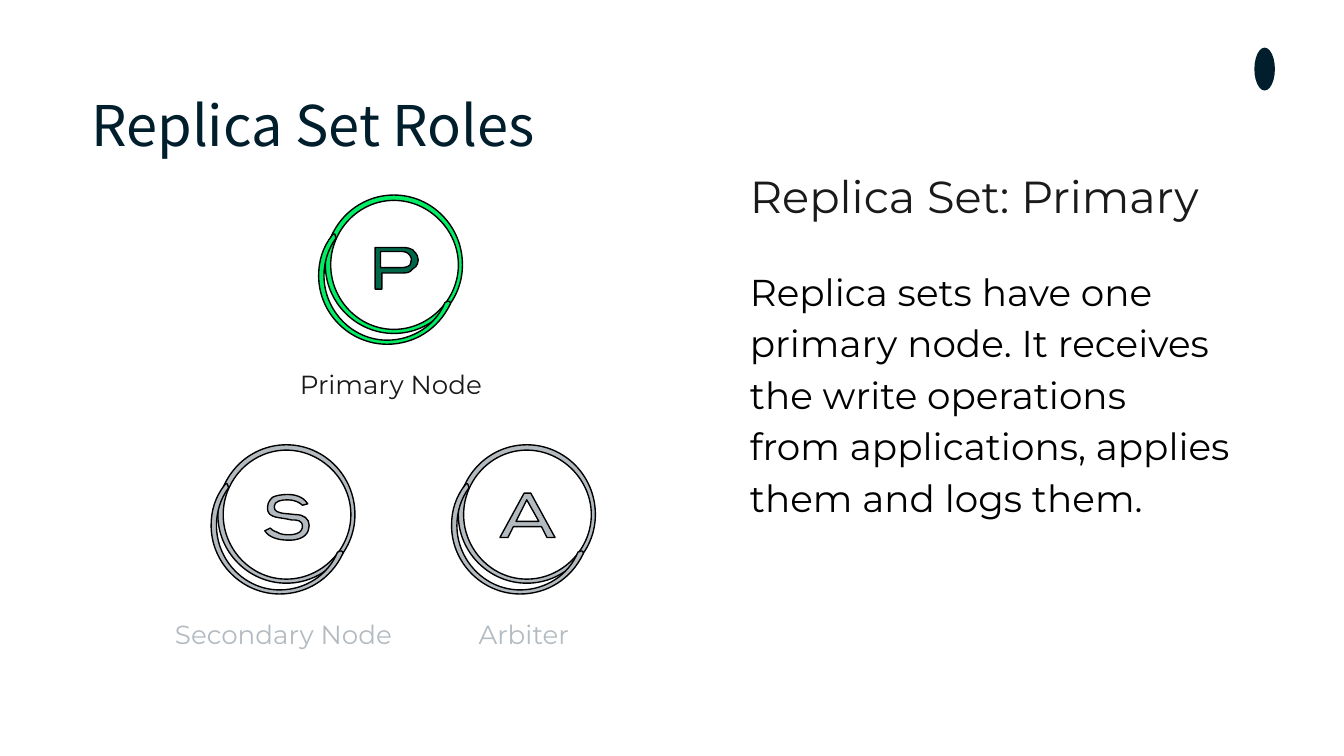
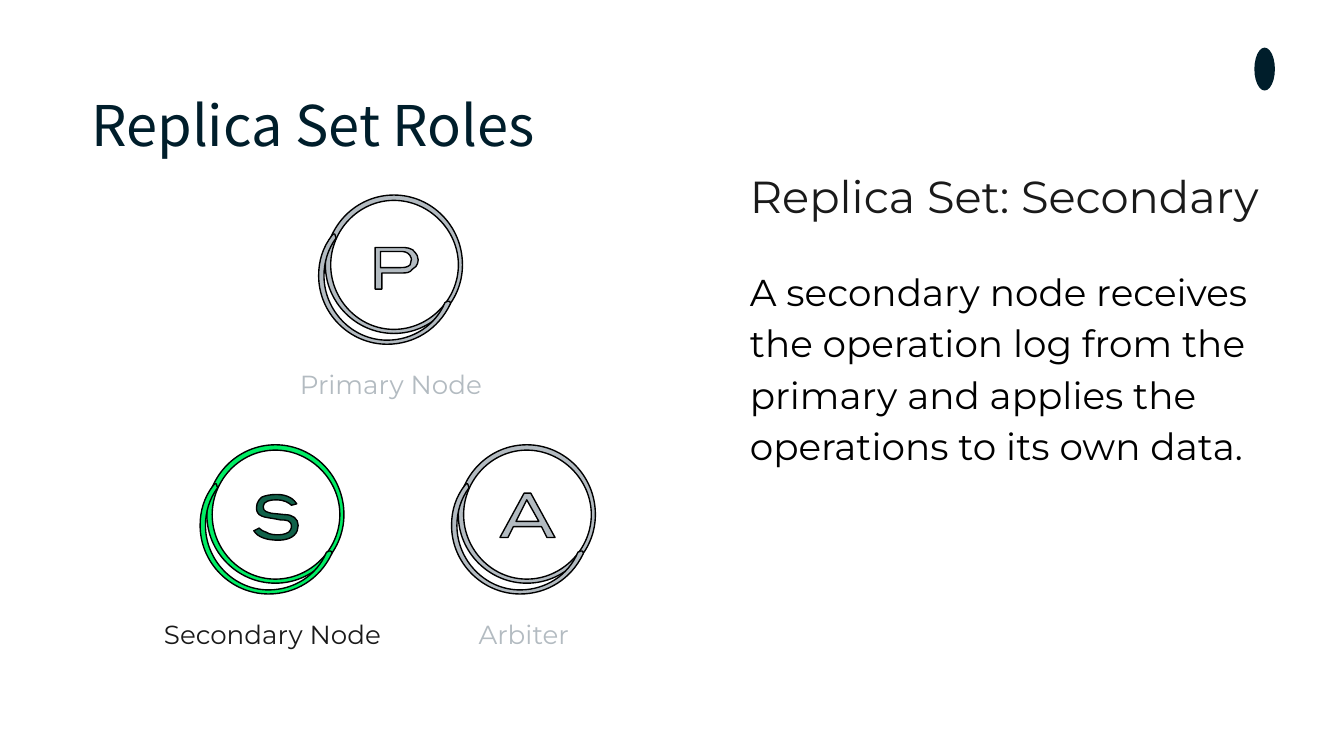
from pptx import Presentation
from pptx.dml.color import RGBColor
from pptx.enum.shapes import MSO_SHAPE
from pptx.enum.text import MSO_ANCHOR, MSO_AUTO_SIZE, PP_ALIGN
from pptx.oxml.ns import qn
from pptx.util import Pt

OVAL = MSO_SHAPE.OVAL
TOP, MIDDLE = MSO_ANCHOR.TOP, MSO_ANCHOR.MIDDLE
LEFT, CENTER = PP_ALIGN.LEFT, PP_ALIGN.CENTER
GROW, FIXED = MSO_AUTO_SIZE.SHAPE_TO_FIT_TEXT, MSO_AUTO_SIZE.NONE

NAVY = RGBColor(0x00, 0x1E, 0x2B)
INK = RGBColor(0x1A, 0x1A, 0x1A)
BLACK = RGBColor(0x00, 0x00, 0x00)
GRAY = RGBColor(0xB3, 0xBB, 0xC1)
GREEN = RGBColor(0x00, 0xED, 0x64)
FOREST = RGBColor(0x00, 0x68, 0x4A)
PINE = RGBColor(0x11, 0x61, 0x49)

TITLE_FONT = "Noto Sans CJK JP"
TEXT_FONT = "Montserrat"

GRID = 0.72  # points per unit of the outlines below

# Outlines start at the ring's top left corner. Each contour is a list of
# line ends (x, y) and Bézier curves (x1, y1, x2, y2, x, y).
RING = [
    [(51, 4), (77, 4, 99, 26, 99, 52), (99, 78, 77, 100, 51, 100),
     (25, 100, 4, 78, 4, 52), (4, 26, 25, 4, 51, 4)],
    [(51, 0), (79, 0, 102, 23, 102, 52), (102, 80, 79, 103, 51, 103),
     (23, 103, 0, 80, 0, 52), (0, 23, 23, 0, 51, 0)],
]
CRESCENT = [
    [(6, 29), (6, 29, 5, 29, 5, 30), (-2, 39, -5, 49, -5, 60),
     (-5, 88, 18, 111, 46, 111), (66, 111, 84, 100, 93, 81),
     (93, 80, 93, 79, 92, 79), (92, 79, 91, 79, 91, 79),
     (90, 79, 90, 79, 89, 80), (82, 97, 65, 108, 46, 108),
     (20, 108, -1, 86, -1, 60), (-1, 50, 2, 40, 8, 32),
     (8, 31, 8, 30, 7, 29), (7, 29, 7, 29, 6, 29)],
]
LETTERS = {
    "P": [
        [(56, 42), (58, 42, 61, 42, 63, 45), (64, 46, 64, 48, 64, 48),
         (64, 50, 63, 51, 63, 52), (61, 54, 58, 54, 56, 54), (41, 54), (41, 42)],
        [(37, 39), (37, 70), (42, 70), (42, 58), (57, 58),
         (60, 58, 63, 58, 65, 55), (69, 53, 69, 49, 69, 48),
         (69, 46, 68, 44, 67, 43), (65, 39, 59, 39, 57, 39)],
    ],
    "S": [
        [(52, 37), (47, 37, 43, 38, 41, 39), (40, 40, 37, 42, 37, 47),
         (37, 48, 37, 50, 39, 52), (42, 54, 44, 54, 50, 55), (55, 56),
         (59, 56, 63, 56, 63, 61), (63, 61, 63, 63, 61, 65),
         (58, 67, 54, 67, 53, 67), (51, 67, 47, 67, 44, 65),
         (41, 64, 40, 63, 39, 62), (35, 64), (38, 69, 45, 71, 53, 71),
         (65, 71, 68, 65, 68, 60), (68, 55, 64, 52, 58, 52), (48, 51),
         (45, 50, 42, 50, 42, 46), (42, 42, 47, 41, 52, 41),
         (57, 41, 61, 43, 63, 45), (67, 44), (65, 41, 61, 37, 52, 37)],
    ],
    "A": [
        [(51, 41), (60, 57), (43, 57)],
        [(49, 36), (31, 69), (37, 69), (41, 61), (62, 61), (66, 69), (72, 69), (54, 36)],
    ],
}


def bend(shape, contours):
    """Turn each three lines that stand for a curve's points into that curve."""
    outline = shape._element.find(".//" + qn("a:path"))
    lines = iter(outline.findall(qn("a:lnTo")))
    for contour in contours:
        for segment in contour[1:]:
            curve = next(lines)
            if len(segment) == 2:
                continue
            curve.tag = qn("a:cubicBezTo")
            for _ in range(2):
                line = next(lines)
                curve.append(line[0])
                outline.remove(line)


class Deck:
    """Holds the presentation, its style and the slide being filled."""

    def __init__(self):
        self.prs = Presentation()
        self.prs.slide_width, self.prs.slide_height = Pt(720), Pt(405)
        self.slide = None

    def new_slide(self, title):
        self.slide = self.prs.slides.add_slide(self.prs.slide_layouts[6])
        emblem = self.slide.shapes.add_shape(OVAL, Pt(672), Pt(25.5), Pt(11), Pt(23))
        self.paint(emblem, NAVY)
        self.text([title], 49, 48.7, 587.5, 36, 30, NAVY, font=TITLE_FONT)

    def paint(self, shape, fill, outline=None):
        shape.shadow.inherit = False
        shape.fill.solid()
        shape.fill.fore_color.rgb = fill
        if outline is None:
            shape.line.fill.background()
        else:
            shape.line.color.rgb = outline
            shape.line.width = Pt(0.75)

    def text(self, paragraphs, left, top, width, height, size, color, font=TEXT_FONT,
             align=LEFT, anchor=TOP, inset=0, spacing=None, auto_size=FIXED):
        box = self.slide.shapes.add_textbox(Pt(left), Pt(top), Pt(width), Pt(height))
        frame = box.text_frame
        frame.word_wrap = True
        frame.auto_size = auto_size
        frame.vertical_anchor = anchor
        frame.margin_left = frame.margin_right = Pt(inset)
        frame.margin_top = frame.margin_bottom = Pt(inset)
        frame.text = "\n".join(paragraphs)
        for paragraph in frame.paragraphs:
            paragraph.alignment = align
            paragraph.line_spacing = spacing
            paragraph.font.name = font
            paragraph.font.size = Pt(size)
            paragraph.font.color.rgb = color

    def outline(self, group, contours, left, top, fill):
        builder = None
        for contour in contours:
            start, *rest = [
                (Pt(left + x * GRID), Pt(top + y * GRID))
                for segment in contour
                for x, y in zip(segment[::2], segment[1::2])
            ]
            if builder is None:
                builder = group.shapes.build_freeform(*start, scale=1.0)
            else:
                builder.move_to(*start)
            builder.add_line_segments(rest, close=True)
        shape = builder.convert_to_shape()
        bend(shape, contours)
        self.paint(shape, fill, BLACK)

    def node(self, label, left, top, label_width, letter_color=None):
        """Draw a node badge with its label; a letter colour makes it the active one."""
        ring_color, label_color = (GREEN, INK) if letter_color else (GRAY, GRAY)
        group = self.slide.shapes.add_group_shape()
        self.outline(group, RING, left, top, ring_color)
        self.outline(group, LETTERS[label[0]], left, top, letter_color or GRAY)
        self.outline(group, CRESCENT, left, top, ring_color)
        self.text([label], left + 35.2 - label_width / 2, top + 91.3, label_width, 20,
                  14, label_color, align=CENTER, anchor=MIDDLE)

    def explanation(self, heading, heading_width, body, body_height):
        self.text(body, 394.6, 133.2, 288.7, body_height, 20, BLACK,
                  inset=7.2, spacing=1.15, auto_size=GROW)
        self.text([heading], 394.6, 80.6, heading_width, 44, 24, INK,
                  inset=7.2, spacing=1.1, auto_size=GROW)


def main():
    deck = Deck()
    title = "Replica Set Roles"
    upper_row, lower_row = 104.5, 238.3

    deck.new_slide(title)
    deck.node("Primary Node", 174.3, upper_row, 98.6, FOREST)
    deck.node("Secondary Node", 116.7, lower_row, 126)
    deck.node("Arbiter", 245.5, lower_row, 98.6)
    deck.explanation("Replica Set: Primary", 271.4, [
        "Replica sets have one",
        "primary node. It receives",
        "the write operations",
        "from applications, applies them and logs them.",
    ], 170.6)

    deck.new_slide(title)
    deck.node("Primary Node", 174.3, upper_row, 98.6)
    deck.node("Arbiter", 245.5, lower_row, 98.6)
    deck.explanation("Replica Set: Secondary", 302.4, [
        "A secondary node receives the operation log from the primary "
        "and applies the operations to its own data.",
    ], 143.3)
    deck.node("Secondary Node", 110.8, lower_row, 126, PINE)

    deck.prs.save("out.pptx")


if __name__ == "__main__":
    main()
